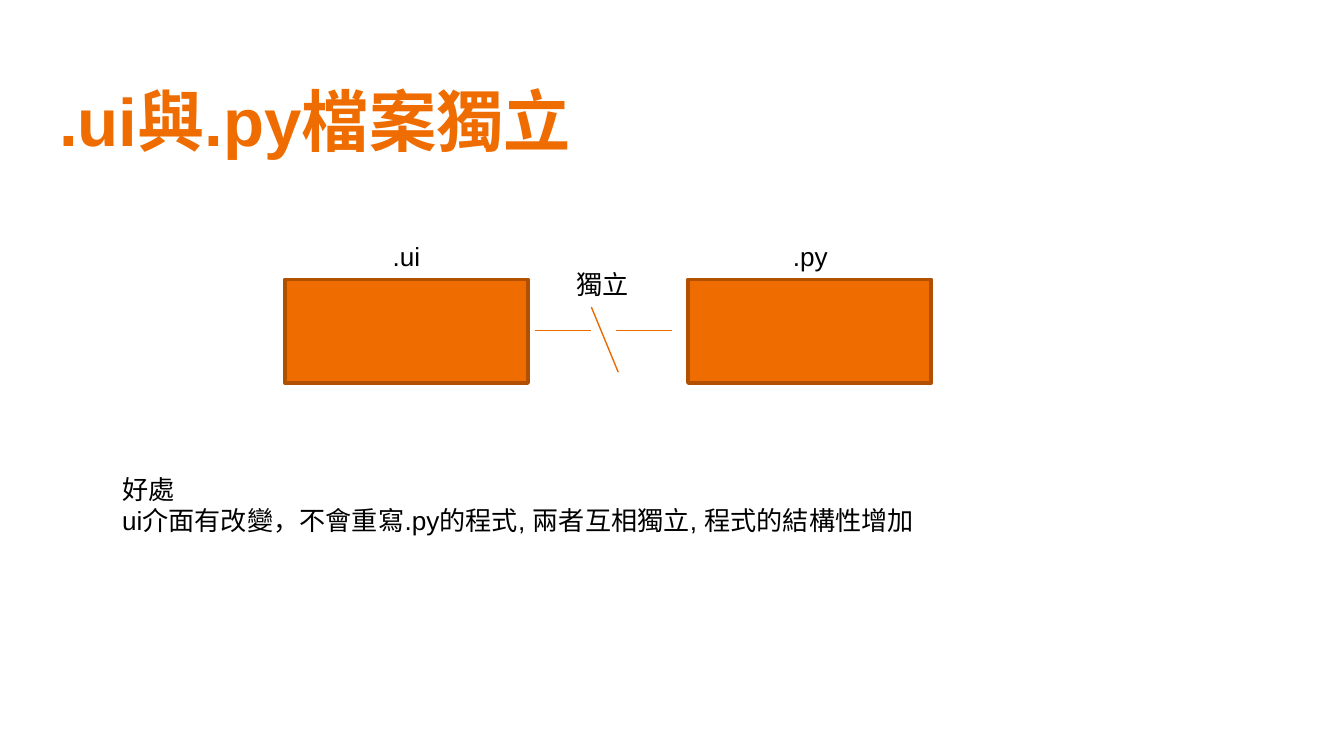
from lxml.etree import SubElement
from pptx import Presentation
from pptx.dml.color import RGBColor
from pptx.enum.shapes import MSO_CONNECTOR, MSO_SHAPE
from pptx.enum.text import MSO_ANCHOR, MSO_AUTO_SIZE, PP_ALIGN
from pptx.oxml.ns import qn
from pptx.util import Pt

ORANGE = RGBColor(0xEF, 0x6C, 0x00)
BORDER = RGBColor(0xB1, 0x50, 0x00)
LINE = RGBColor(0xEA, 0x6A, 0x00)
BLACK = RGBColor(0x00, 0x00, 0x00)


class Deck:
    """Hold the slide style and draw elements with lengths in points."""

    font = "Arial"

    def __init__(self, prs):
        self.s = prs.slides.add_slide(prs.slide_layouts[5])

    def set_text(self, tf, lines, size, color, bold=False, align=PP_ALIGN.LEFT):
        tf.text = "\n".join(lines)
        for p in tf.paragraphs:
            p.alignment = align
            for r in p.runs:
                r.font.name = self.font
                r.font.size = Pt(size)
                r.font.bold = bold
                r.font.color.rgb = color

    def title(self, text, x, y, w, h):
        sp = self.s.shapes.title
        sp.left, sp.top, sp.width, sp.height = Pt(x), Pt(y), Pt(w), Pt(h)
        tf = sp.text_frame
        tf.margin_left = tf.margin_right = Pt(7.2)
        tf.margin_top = tf.margin_bottom = Pt(7.2)
        tf.vertical_anchor = MSO_ANCHOR.TOP
        tf.auto_size = MSO_AUTO_SIZE.NONE
        self.set_text(tf, [text], 36, ORANGE, bold=True)

    def text(self, lines, x, y, w, h, wrap=False, align=PP_ALIGN.CENTER):
        sp = self.s.shapes.add_textbox(Pt(x), Pt(y), Pt(w), Pt(h))
        tf = sp.text_frame
        tf.word_wrap = wrap
        tf.auto_size = MSO_AUTO_SIZE.SHAPE_TO_FIT_TEXT
        self.set_text(tf, lines, 14, BLACK, align=align)

    def box(self, x, y, w, h):
        sp = self.s.shapes.add_shape(MSO_SHAPE.RECTANGLE, Pt(x), Pt(y), Pt(w), Pt(h))
        sp.shadow.inherit = False
        sp.fill.solid()
        sp.fill.fore_color.rgb = ORANGE
        sp.line.color.rgb = BORDER
        sp.line.width = Pt(2)

    def line(self, x1, y1, x2, y2):
        cn = self.s.shapes.add_connector(
            MSO_CONNECTOR.STRAIGHT, Pt(x1), Pt(y1), Pt(x2), Pt(y2))
        cn.line.color.rgb = LINE
        cn.line.width = Pt(0.75)
        SubElement(cn._element.spPr, qn("a:effectLst"))


def main():
    prs = Presentation()
    prs.slide_width, prs.slide_height = Pt(720), Pt(405)
    d = Deck(prs)
    d.title(".ui與.py檔案獨立", 24.5, 35.3, 671, 55.4)

    for x in (152.6, 368.6):
        d.box(x, 149.8, 130.3, 55.4)
    for name, x, w in ((".ui", 203, 29.5), (".py", 417.6, 33.1)):
        d.text([name], x, 125.3, w, 24.5)

    for x in (286.6, 330):
        d.line(x, 177, x + 30, 177)
    d.line(316.8, 164.5, 331.2, 199.4)
    d.text(["獨立"], 301.7, 140.4, 42.5, 24.5)

    d.text(["好處", "ui介面有改變，不會重寫.py的程式, 兩者互相獨立, 程式的結構性增加"],
           58.3, 249.8, 441.4, 58.3, wrap=True, align=PP_ALIGN.LEFT)
    prs.save("out.pptx")


if __name__ == "__main__":
    main()
